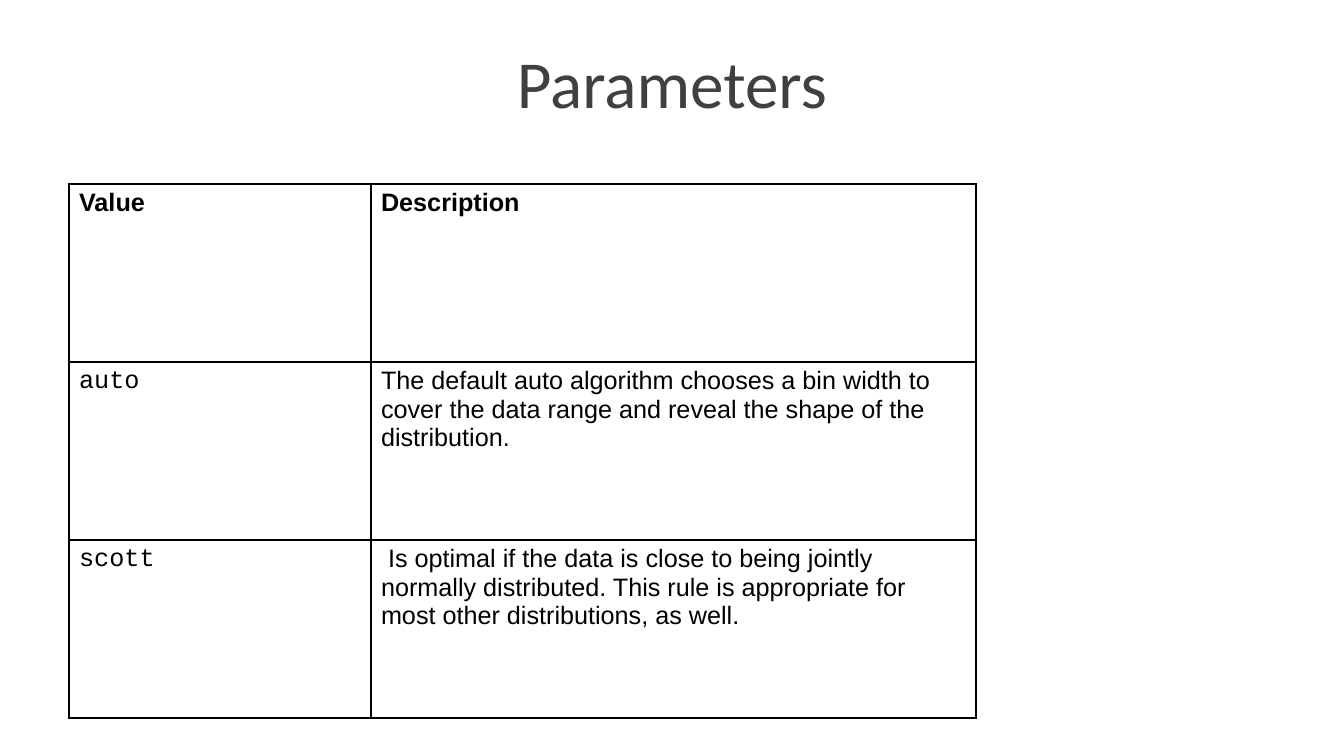
from lxml import etree
from pptx import Presentation
from pptx.dml.color import RGBColor
from pptx.enum import text
from pptx.oxml import ns
from pptx.util import Pt

SCALE = 914400 / 100.8  # EMU per pixel
BLACK = RGBColor(0, 0, 0)
GREY = RGBColor(0x40, 0x40, 0x40)


def px(length):
    """Turn pixels into EMU."""
    return round(length * SCALE)


def add_borders(cell):
    """Draw a thin black line on all four sides of a cell."""
    properties = cell._tc.get_or_add_tcPr()
    for position, side in enumerate(("lnL", "lnR", "lnT", "lnB")):
        line = etree.Element(ns.qn("a:" + side), w=str(Pt(1)))
        fill = etree.SubElement(line, ns.qn("a:solidFill"))
        etree.SubElement(fill, ns.qn("a:srgbClr"), val=str(BLACK))
        properties.insert(position, line)


deck = Presentation()
deck.slide_width, deck.slide_height = px(1344), px(756)
slide = deck.slides.add_slide(deck.slide_layouts[5])

heading = slide.shapes.title
heading.left, heading.top, heading.width, heading.height = px(0), px(39), px(1344), px(85)
frame = heading.text_frame
frame.text = "Parameters"
frame.auto_size = text.MSO_AUTO_SIZE.NONE
frame.vertical_anchor = text.MSO_ANCHOR.MIDDLE
heading_line = frame.paragraphs[0]
heading_line.alignment = text.PP_ALIGN.CENTER
heading_line.space_before = Pt(9.6)
for name, value in {"name": "Calibri", "size": Pt(48)}.items():
    setattr(heading_line.runs[0].font, name, value)
heading_line.runs[0].font.color.rgb = GREY

ROWS = [
    ("Value", "Description"),
    ("auto", "The default auto algorithm chooses a bin width to cover the data range "
             "and reveal the shape of the distribution."),
    ("scott", " Is optimal if the data is close to being jointly normally distributed. "
              "This rule is appropriate for most other distributions, as well."),
]
COLUMN_WIDTHS = (302, 605)
ROW_HEIGHT = 178

parameters = slide.shapes.add_table(
    len(ROWS), len(COLUMN_WIDTHS), px(69), px(184),
    px(sum(COLUMN_WIDTHS)), px(ROW_HEIGHT * len(ROWS))).table
parameters.first_row = parameters.horz_banding = False
for column, width in zip(parameters.columns, COLUMN_WIDTHS):
    column.width = px(width)

for r, entries in enumerate(ROWS):
    parameters.rows[r].height = px(ROW_HEIGHT)
    for c, entry in enumerate(entries):
        cell = parameters.cell(r, c)
        cell.text = entry
        cell.fill.background()
        add_borders(cell)
        is_header = r == 0
        is_code = c == 0 and not is_header
        font = cell.text_frame.paragraphs[0].runs[0].font
        style = {"name": "Courier New" if is_code else "Arial",
                 "size": Pt(18), "bold": is_header}
        for name, value in style.items():
            setattr(font, name, value)
        font.color.rgb = BLACK

deck.save("out.pptx")
